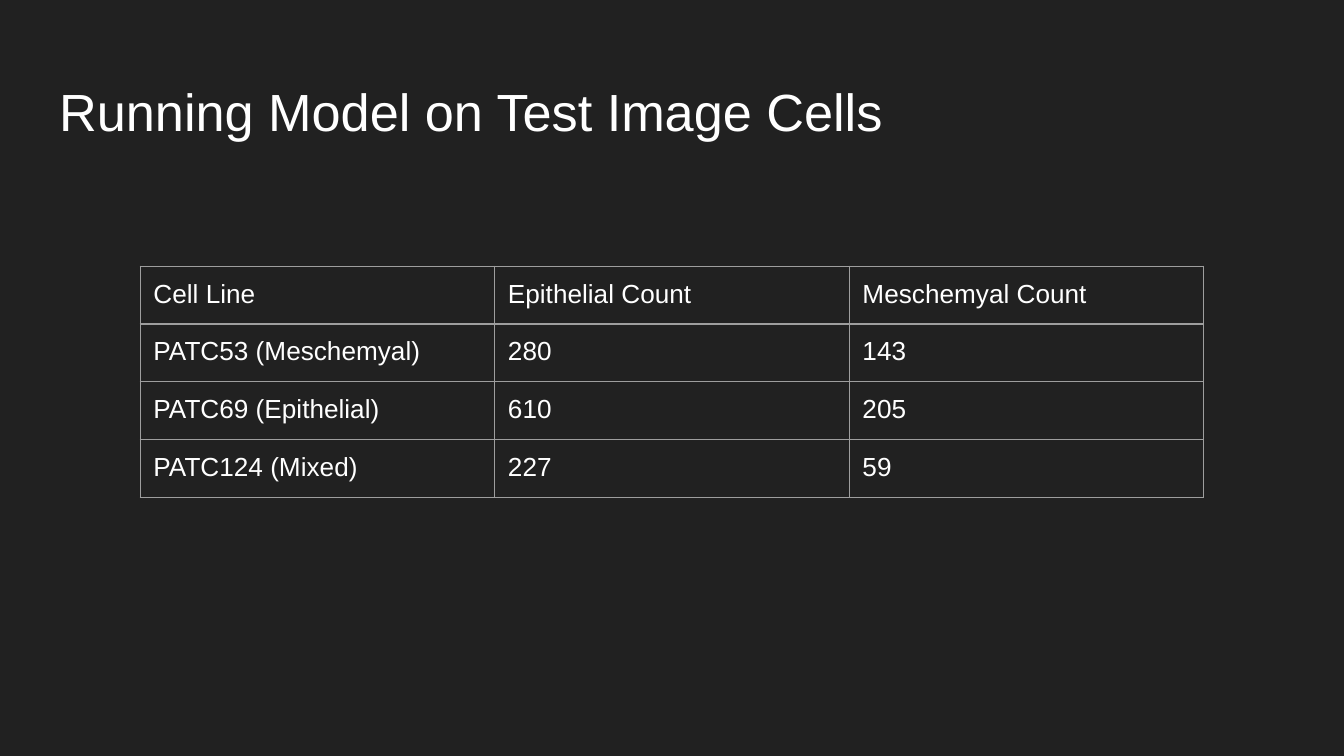
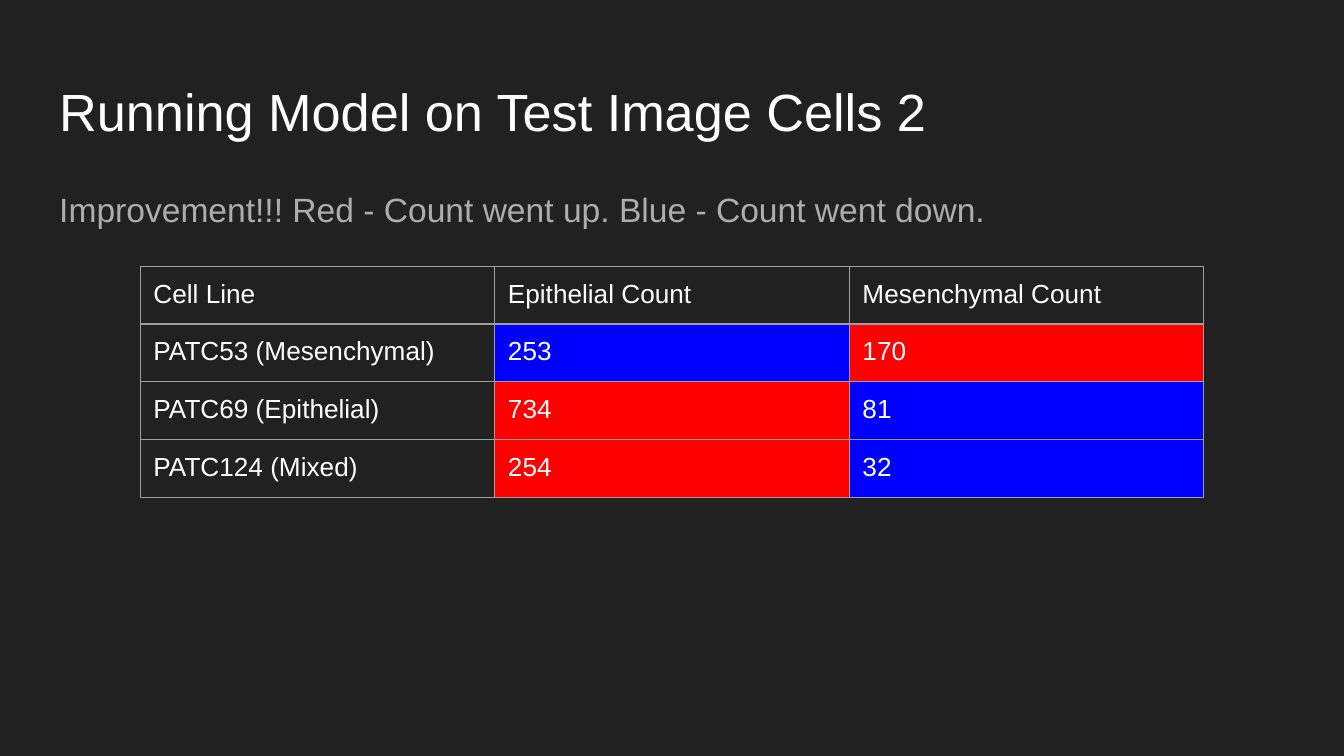
from lxml import etree
from pptx import Presentation
from pptx.dml.color import RGBColor
from pptx.oxml.ns import qn
from pptx.util import Cm, Pt

FONT = "Arial"
BACKGROUND = RGBColor(0x21, 0x21, 0x21)
WHITE = RGBColor(0xFF, 0xFF, 0xFF)
GREY = RGBColor(0xAD, 0xAD, 0xAD)
BORDER = RGBColor(0x9E, 0x9E, 0x9E)
RED = RGBColor(0xFF, 0x00, 0x00)
BLUE = RGBColor(0x00, 0x00, 0xFF)

FIRST_RUN = {
    "title": "Running Model on Test Image Cells",
    "note": None,
    "header": ["Cell Line", "Epithelial Count", "Meschemyal Count"],
    "rows": [
        ("PATC53 (Meschemyal)", 280, 143),
        ("PATC69 (Epithelial)", 610, 205),
        ("PATC124 (Mixed)", 227, 59),
    ],
}
SECOND_RUN = {
    "title": "Running Model on Test Image Cells 2",
    "note": "Improvement!!! Red - Count went up. Blue - Count went down.",
    "header": ["Cell Line", "Epithelial Count", "Mesenchymal Count"],
    "rows": [
        ("PATC53 (Mesenchymal)", 253, 170),
        ("PATC69 (Epithelial)", 734, 81),
        ("PATC124 (Mixed)", 254, 32),
    ],
}

PAGE_WIDTH, PAGE_HEIGHT = Cm(25.4), Cm(14.29)
TEXT_LEFT, TEXT_WIDTH = Cm(0.87), Cm(23.67)
TITLE_TOP, TITLE_HEIGHT = Cm(1.24), Cm(1.6)
NOTE_TOP, NOTE_HEIGHT = Cm(3.2), Cm(9.5)
TABLE_LEFT, TABLE_TOP = Cm(2.65), Cm(5.03)
COLUMN_WIDTH, ROW_HEIGHT = Cm(6.7), Cm(1.06)
INSET = Cm(0.25)
BORDER_WIDTH = Pt(0.75)


def set_font(para, size, color):
    para.font.name = FONT
    para.font.size = Pt(size)
    para.font.bold = False
    para.font.color.rgb = color


def set_insets(target):
    target.margin_left = target.margin_right = INSET
    target.margin_top = target.margin_bottom = INSET


def add_text(page, text, top, height, size, color):
    box = page.shapes.add_textbox(TEXT_LEFT, top, TEXT_WIDTH, height)
    frame = box.text_frame
    frame.word_wrap = True
    set_insets(frame)
    para = frame.paragraphs[0]
    para.text = text
    set_font(para, size, color)
    return para


def add_borders(cell):
    properties = cell._tc.get_or_add_tcPr()
    for position, side in enumerate(("lnL", "lnR", "lnT", "lnB")):
        line = etree.Element(qn(f"a:{side}"), w=str(BORDER_WIDTH))
        fill = etree.SubElement(line, qn("a:solidFill"))
        etree.SubElement(fill, qn("a:srgbClr"), val=str(BORDER))
        properties.insert(position, line)


def change_color(value, previous):
    return RED if value > previous else BLUE


def add_counts(page, run, baseline):
    grid = [run["header"], *run["rows"]]
    row_count, column_count = len(grid), len(run["header"])
    table = page.shapes.add_table(
        row_count, column_count, TABLE_LEFT, TABLE_TOP,
        COLUMN_WIDTH * column_count, ROW_HEIGHT * row_count,
    ).table
    table.first_row = table.horz_banding = False
    for column in table.columns:
        column.width = COLUMN_WIDTH
    for r, values in enumerate(grid):
        table.rows[r].height = ROW_HEIGHT
        for c, value in enumerate(values):
            cell = table.cell(r, c)
            cell.text = str(value)
            set_insets(cell)
            set_font(cell.text_frame.paragraphs[0], 14, WHITE)
            if baseline and r and c:
                cell.fill.solid()
                cell.fill.fore_color.rgb = change_color(value, baseline["rows"][r - 1][c])
            else:
                cell.fill.background()
            add_borders(cell)


def add_page(deck, run, baseline=None):
    page = deck.slides.add_slide(deck.slide_layouts[6])
    page.background.fill.solid()
    page.background.fill.fore_color.rgb = BACKGROUND
    add_text(page, run["title"], TITLE_TOP, TITLE_HEIGHT, 28, WHITE)
    if run["note"]:
        para = add_text(page, run["note"], NOTE_TOP, NOTE_HEIGHT, 18, GREY)
        para.line_spacing = 1.15
        para.space_after = Pt(16)
    add_counts(page, run, baseline)


def main():
    deck = Presentation()
    deck.slide_width, deck.slide_height = PAGE_WIDTH, PAGE_HEIGHT
    add_page(deck, FIRST_RUN)
    add_page(deck, SECOND_RUN, baseline=FIRST_RUN)
    deck.save("out.pptx")


if __name__ == "__main__":
    main()
